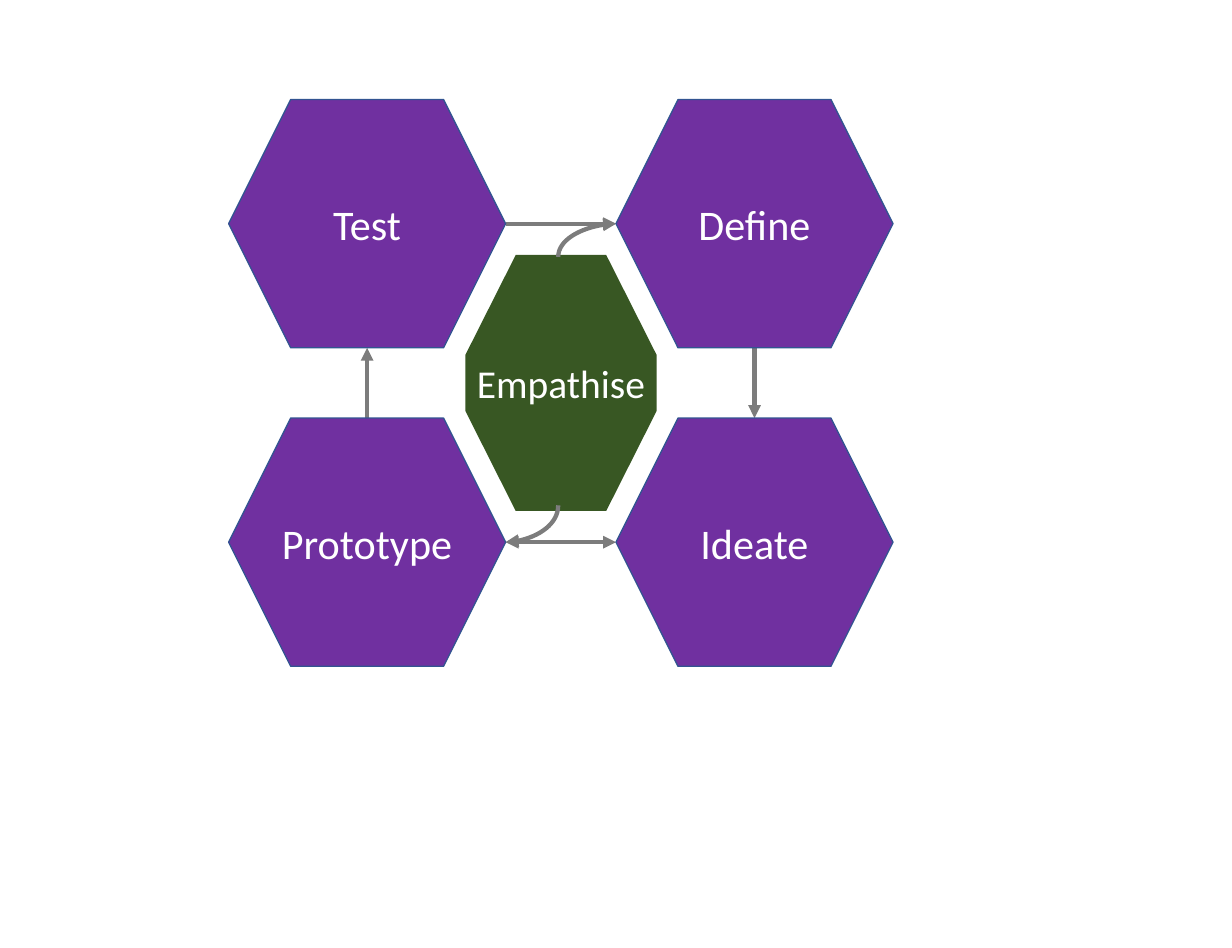
from lxml import etree
from pptx import Presentation
from pptx.dml.color import RGBColor
from pptx.enum.shapes import MSO_CONNECTOR, MSO_SHAPE
from pptx.enum.text import MSO_ANCHOR, PP_ALIGN
from pptx.oxml.ns import qn
from pptx.util import Pt

HEXAGON = MSO_SHAPE.HEXAGON
STRAIGHT, CURVE = MSO_CONNECTOR.STRAIGHT, MSO_CONNECTOR.CURVE
MIDDLE, CENTER = MSO_ANCHOR.MIDDLE, PP_ALIGN.CENTER

# Content: stage name, column, row
STAGES = [("Test", 0, 0), ("Prototype", 0, 1), ("Ideate", 1, 1), ("Define", 1, 0)]
CORE = "Empathise"

THEME = {
    "font": "Calibri",
    "stage_size": 32,
    "core_size": 30,
    "stage_fill": RGBColor(0x70, 0x30, 0xA0),
    "stage_line": RGBColor(0x32, 0x54, 0x91),
    "core_fill": RGBColor(0x38, 0x57, 0x23),
    "text": RGBColor(0xFF, 0xFF, 0xFF),
    "arrow": RGBColor(0x7C, 0x7C, 0x7C),
    "arrow_width": 3.25,
}

# Layout in points
SLIDE_WIDTH, SLIDE_HEIGHT = 936, 720
STAGE_WIDTH, STAGE_HEIGHT = 210.5, 188.6
COLUMNS = (173.7, 468)
ROWS = (75.6, 317.5)
MIDDLES_X = [left + STAGE_WIDTH / 2 for left in COLUMNS]
MIDDLES_Y = [top + STAGE_HEIGHT / 2 for top in ROWS]
GAP_LEFT, GAP_RIGHT = COLUMNS[0] + STAGE_WIDTH, COLUMNS[1]
GAP_TOP, GAP_BOTTOM = ROWS[0] + STAGE_HEIGHT, ROWS[1]

# Core outline, as half sizes around its centre
CORE_X, CORE_Y = 426.2, 290.9
CORE_HALF_WIDTH, CORE_HALF_HEIGHT = 72.7, 97.2
CORE_HALF_EDGE, CORE_HALF_SIDE = 34.4, 21.2
CURVE_X, CURVE_TOP, CURVE_BOTTOM = 424.1, 195.1, 383.8

# Arrows: kind, begin, end, ends that carry a head
ARROWS = [
    (CURVE, (GAP_RIGHT, MIDDLES_Y[0]), (CURVE_X, CURVE_TOP), ["headEnd"]),
    (CURVE, (GAP_LEFT, MIDDLES_Y[1]), (CURVE_X, CURVE_BOTTOM), ["headEnd"]),
    (STRAIGHT, (GAP_LEFT, MIDDLES_Y[0]), (GAP_RIGHT, MIDDLES_Y[0]), ["tailEnd"]),
    (STRAIGHT, (MIDDLES_X[1], GAP_TOP), (MIDDLES_X[1], GAP_BOTTOM), ["tailEnd"]),
    (STRAIGHT, (GAP_RIGHT, MIDDLES_Y[1]), (GAP_LEFT, MIDDLES_Y[1]), ["headEnd", "tailEnd"]),
    (STRAIGHT, (MIDDLES_X[0], GAP_BOTTOM), (MIDDLES_X[0], GAP_TOP), ["tailEnd"]),
]


def style_shape(shape, text, fill, size):
    shape.shadow.inherit = False
    shape.fill.solid()
    shape.fill.fore_color.rgb = fill
    frame = shape.text_frame
    frame_format = {"word_wrap": False, "vertical_anchor": MIDDLE, "margin_left": 0,
                    "margin_right": 0, "margin_top": Pt(3.6), "margin_bottom": Pt(3.6)}
    for name, value in frame_format.items():
        setattr(frame, name, value)
    paragraph = frame.paragraphs[0]
    paragraph.text = text
    paragraph.alignment = CENTER
    for name, value in {"name": THEME["font"], "size": Pt(size)}.items():
        setattr(paragraph.font, name, value)
    paragraph.font.color.rgb = THEME["text"]


def add_stage(slide, text, column, row):
    shape = slide.shapes.add_shape(HEXAGON, Pt(COLUMNS[column]), Pt(ROWS[row]),
                                   Pt(STAGE_WIDTH), Pt(STAGE_HEIGHT))
    style_shape(shape, text, THEME["stage_fill"], THEME["stage_size"])
    shape.line.color.rgb = THEME["stage_line"]
    shape.line.width = Pt(1)


def add_core(slide):
    quarter = [(CORE_HALF_EDGE, CORE_HALF_HEIGHT), (CORE_HALF_WIDTH, CORE_HALF_SIDE)]
    half = [(x, -y) for x, y in quarter] + [(x, y) for x, y in reversed(quarter)]
    offsets = half + [(-x, y) for x, y in reversed(half)]
    points = [(Pt(CORE_X + x), Pt(CORE_Y + y)) for x, y in offsets]
    builder = slide.shapes.build_freeform(*points[0])
    builder.add_line_segments(points[1:], close=True)
    shape = builder.convert_to_shape()
    style_shape(shape, CORE, THEME["core_fill"], THEME["core_size"])
    shape.line.fill.background()


def add_arrow(slide, kind, begin, end, heads):
    connector = slide.shapes.add_connector(kind, *[Pt(value) for value in begin + end])
    connector.line.color.rgb = THEME["arrow"]
    connector.line.width = Pt(THEME["arrow_width"])
    properties = connector._element.spPr
    if kind == CURVE:
        # A quarter bend instead of the default S-curve
        properties.find(qn("a:prstGeom")).set("prst", "curvedConnector2")
    for head in heads:
        etree.SubElement(properties.find(qn("a:ln")), qn("a:" + head), type="triangle")
    etree.SubElement(properties, qn("a:effectLst"))


def main():
    presentation = Presentation()
    presentation.slide_width, presentation.slide_height = Pt(SLIDE_WIDTH), Pt(SLIDE_HEIGHT)
    slide = presentation.slides.add_slide(presentation.slide_layouts[6])
    add_core(slide)
    for arrow in ARROWS:
        add_arrow(slide, *arrow)
    for stage in STAGES:
        add_stage(slide, *stage)
    presentation.save("out.pptx")


if __name__ == "__main__":
    main()
